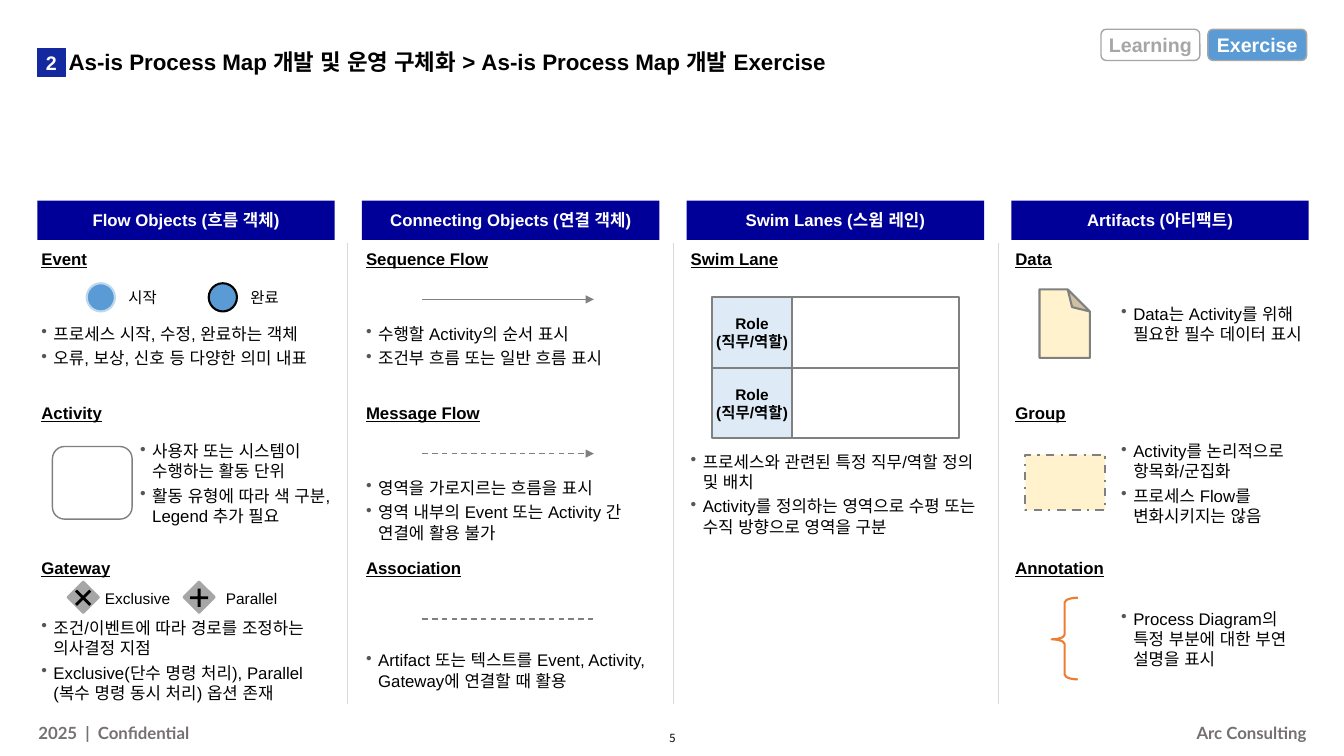
from math import cos, radians, sin

from lxml.etree import SubElement
from pptx import Presentation
from pptx.dml.color import RGBColor
from pptx.enum.dml import MSO_LINE as Dash
from pptx.enum.shapes import MSO_CONNECTOR, MSO_SHAPE as Shape
from pptx.enum.text import MSO_ANCHOR as Anchor, PP_ALIGN as Align
from pptx.oxml.ns import qn
from pptx.util import Inches, Pt

BLACK = RGBColor(0x00, 0x00, 0x00)
WHITE = RGBColor(0xFF, 0xFF, 0xFF)
NAVY = RGBColor(0x00, 0x00, 0x99)
BADGE_BLUE = RGBColor(0x14, 0x28, 0xA0)
BLUE = RGBColor(0x5B, 0x9B, 0xD5)
PALE_BLUE = RGBColor(0xBD, 0xD7, 0xEE)
ROLE_BLUE = RGBColor(0xDE, 0xEB, 0xF7)
CREAM = RGBColor(0xFF, 0xF2, 0xCC)
ORANGE = RGBColor(0xED, 0x7D, 0x31)
GRAY = RGBColor(0x80, 0x80, 0x80)
MID_GRAY = RGBColor(0xA6, 0xA6, 0xA6)
LIGHT_GRAY = RGBColor(0xD9, 0xD9, 0xD9)
FOOTER_GRAY = RGBColor(0x76, 0x71, 0x71)
CENTERED = {"align": Align.CENTER, "anchor": Anchor.MIDDLE}

presentation = Presentation()
presentation.slide_width = Inches(13.33)
presentation.slide_height = Inches(7.5)
slide = presentation.slides.add_slide(presentation.slide_layouts[6])
shapes = slide.shapes


def add_box(kind, place, fill=None, line=None, width=1.0):
    """Add a preset shape, or a text box when kind is None."""
    place = [Inches(value) for value in place]
    if kind is None:
        return shapes.add_textbox(*place)
    shape = shapes.add_shape(kind, *place)
    shape.shadow.inherit = False
    shape.fill.background()
    if fill is not None:
        shape.fill.solid()
        shape.fill.fore_color.rgb = fill
    shape.line.fill.background()
    if line is not None:
        shape.line.color.rgb = line
        shape.line.width = Pt(width)
    return shape


def write(shape, lines, size=12, color=BLACK, bold=False, underline=False, align=Align.LEFT,
          anchor=Anchor.TOP, inset=(0, 0), before=0, spacing=None, bullet=False,
          wrap=True, font="Arial"):
    """Write one paragraph per line; inset is (side, top and bottom)."""
    frame = shape.text_frame
    frame.word_wrap = wrap
    frame.vertical_anchor = anchor
    frame.margin_left = frame.margin_right = Inches(inset[0])
    frame.margin_top = frame.margin_bottom = Inches(inset[1])
    for index, line in enumerate(lines):
        paragraph = frame.add_paragraph() if index else frame.paragraphs[0]
        paragraph.alignment = align
        paragraph.space_before = Pt(before)
        paragraph.line_spacing = spacing
        if bullet:
            properties = paragraph._p.get_or_add_pPr()
            properties.set("marL", str(Inches(0.12)))
            properties.set("indent", str(Inches(-0.12)))
            SubElement(SubElement(properties, qn("a:buClr")), qn("a:srgbClr"), val="53565A")
            SubElement(properties, qn("a:buChar"), char="•")
        run = paragraph.add_run()
        run.text = line
        run.font.size = Pt(size)
        run.font.name = font
        run.font.bold = bold
        run.font.underline = underline
        run.font.color.rgb = color
        SubElement(run._r.get_or_add_rPr(), qn("a:ea"), typeface=font)
    return shape


# Footer
for left, align, label in [(9.91, Align.RIGHT, "Arc Consulting"),
                           (0.38, Align.LEFT, "2025  |  Confidential")]:
    write(add_box(None, (left, 7.14, 3.05, 0.24)), [label], color=FOOTER_GRAY, bold=True,
          align=align, anchor=Anchor.MIDDLE, inset=(0, 0.05), before=10, spacing=1.05,
          wrap=False, font="Lato")
write(add_box(None, (6.55, 7.22, 0.24, 0.2)), ["5"], size=8, font="Noto Sans CJK KR", **CENTERED)

# Title with number badge
title = write(add_box(None, (0.37, 0.46, 11.5, 0.34)),
              ["As-is Process Map 개발 및 운영 구체화 > As-is Process Map 개발 Exercise"],
              size=16, bold=True, inset=(0, 0.05), spacing=0.9)
title.text_frame.paragraphs[0]._p.get_or_add_pPr().set("marL", str(Inches(0.31)))
write(add_box(Shape.RECTANGLE, (0.37, 0.48, 0.28, 0.28), BADGE_BLUE, BADGE_BLUE), ["2"],
      size=14, color=WHITE, bold=True, **CENTERED)

# Learning / Exercise tags
for left, label, fill, color in [(10.92, "Learning", WHITE, MID_GRAY),
                                 (11.98, "Exercise", BLUE, WHITE)]:
    write(add_box(Shape.ROUNDED_RECTANGLE, (left, 0.29, 0.98, 0.31), fill, MID_GRAY), [label],
          size=14, color=color, bold=True, inset=(0.04, 0.05), **CENTERED)

# Column headers and section headings
columns = [
    ("Flow Objects (흐름 객체)", ["Event", "Activity", "Gateway"]),
    ("Connecting Objects (연결 객체)", ["Sequence Flow", "Message Flow", "Association"]),
    ("Swim Lanes (스윔 레인)", ["Swim Lane"]),
    ("Artifacts (아티팩트)", ["Data", "Group", "Annotation"]),
]
LEFT, PITCH, WIDTH = 0.37, 3.22, 2.95
for column, (header, headings) in enumerate(columns):
    left = LEFT + column * PITCH
    write(add_box(Shape.RECTANGLE, (left, 1.99, WIDTH, 0.39), NAVY), [header], color=WHITE,
          bold=True, inset=(0.08, 0.05), **CENTERED)
    for row, heading in enumerate(headings):
        write(add_box(None, (left, 2.47 + row * 1.53, WIDTH, 0.2)), [heading], bold=True,
              underline=True, inset=(0.04, 0), before=3)

# Bulleted descriptions
descriptions = [
    ((0.37, 3.21, 2.95, 0.45),
     ["프로세스 시작, 수정, 완료하는 객체", "오류, 보상, 신호 등 다양한 의미 내표"]),
    ((1.35, 4.37, 1.97, 0.85),
     ["사용자 또는 시스템이 수행하는 활동 단위", "활동 유형에 따라 색 구분, Legend 추가 필요"]),
    ((0.37, 6.13, 2.95, 0.85),
     ["조건/이벤트에 따라 경로를 조정하는 의사결정 지점",
      "Exclusive(단수 명령 처리), Parallel (복수 명령 동시 처리) 옵션 존재"]),
    ((3.59, 3.21, 2.95, 0.45), ["수행할 Activity의 순서 표시", "조건부 흐름 또는 일반 흐름 표시"]),
    ((3.59, 4.74, 2.95, 0.65),
     ["영역을 가로지르는 흐름을 표시", "영역 내부의 Event 또는 Activity 간 연결에 활용 불가"]),
    ((3.59, 6.45, 2.95, 0.4), ["Artifact 또는 텍스트를 Event, Activity, Gateway에 연결할 때 활용"]),
    ((6.81, 4.48, 2.95, 0.85),
     ["프로세스와 관련된 특정 직무/역할 정의 및 배치",
      "Activity를 정의하는 영역으로 수평 또는 수직 방향으로 영역을 구분"]),
    ((11.08, 2.91, 1.89, 0.61), ["Data는 Activity를 위해 필요한 필수 데이터 표시"]),
    ((11.08, 4.37, 1.89, 0.85),
     ["Activity를 논리적으로 항목화/군집화", "프로세스 Flow를 변화시키지는 않음"]),
    ((11.08, 6.03, 1.89, 0.61), ["Process Diagram의 특정 부분에 대한 부연 설명을 표시"]),
]
for place, lines in descriptions:
    write(add_box(None, place), lines, anchor=Anchor.MIDDLE if place[2] < 2 else Anchor.TOP,
          inset=(0.04, 0), before=3, bullet=True)

# Event circles and activity box
for left, label, outline in [(0.86, "시작", PALE_BLUE), (2.07, "완료", BLACK)]:
    add_box(Shape.FLOWCHART_CONNECTOR, (left, 2.81, 0.28, 0.28), BLUE, outline, 1.5)
    write(add_box(None, (left + 0.27, 2.86, 0.57, 0.19)), [label], size=11,
          align=Align.CENTER, before=3)
add_box(Shape.ROUNDED_RECTANGLE, (0.52, 4.43, 0.79, 0.72), WHITE, GRAY)

# Gateway diamonds, each with a cross turned by its angle
THIN = 0.014
for left, label, label_left, angle, arm in [(0.67, "Exclusive", 1.01, 45, 0.1),
                                            (1.82, "Parallel", 2.14, 0, 0.09)]:
    add_box(Shape.FLOWCHART_DECISION, (left, 5.77, 0.31, 0.31), MID_GRAY, MID_GRAY, 1.5)
    write(add_box(None, (label_left, 5.84, 0.71, 0.19)), [label], size=11,
          align=Align.CENTER, before=3)
    corners = []
    for quarter in range(4):
        turn = radians(angle + 90 * quarter)
        for x, y in [(arm, -THIN), (arm, THIN), (THIN, THIN)]:
            corners.append((Inches(left + 0.155 + x * cos(turn) - y * sin(turn)),
                            Inches(5.93 + x * sin(turn) + y * cos(turn))))
    builder = shapes.build_freeform(*corners[0])
    builder.add_line_segments(corners[1:], close=True)
    cross = builder.convert_to_shape()
    cross.shadow.inherit = False
    cross.fill.solid()
    cross.fill.fore_color.rgb = BLACK
    cross.line.fill.background()

# Flow lines and column dividers: ends, colour, width, dash, arrowhead
connections = [((4.19, 2.97, 5.89, 2.97), GRAY, 1, None, True),
               ((4.19, 4.5, 5.89, 4.5), GRAY, 1, Dash.DASH, True),
               ((4.19, 6.14, 5.89, 6.14), GRAY, 1, Dash.DASH, False)]
for x in (3.45, 6.68, 9.9):
    connections.append(((x, 2.41, x, 6.98), LIGHT_GRAY, 0.75, None, False))
for ends, color, width, dash, arrow in connections:
    connector = shapes.add_connector(MSO_CONNECTOR.STRAIGHT, *[Inches(value) for value in ends])
    connector.line.color.rgb = color
    connector.line.width = Pt(width)
    connector.line.dash_style = dash
    if arrow:
        SubElement(connector.line._get_or_add_ln(), qn("a:tailEnd"), type="triangle")
    SubElement(connector._element.spPr, qn("a:effectLst"))

# Swim lanes
for top in (2.95, 3.65):
    add_box(Shape.RECTANGLE, (7.79, top, 1.72, 0.7), WHITE, GRAY, 1.5)
    write(add_box(Shape.RECTANGLE, (7.06, top, 0.8, 0.7), ROLE_BLUE, GRAY, 1.5),
          ["Role", "(직무/역할)"], size=11, bold=True, inset=(0, 0.05), **CENTERED)

# Artifacts: data sheet, group frame, annotation brace
sheet = add_box(Shape.FOLDED_CORNER, (10.22, 2.96, 0.68, 0.5), CREAM, GRAY, 1.5)
sheet.rotation = 270
group_frame = add_box(Shape.RECTANGLE, (10.17, 4.51, 0.79, 0.55), CREAM, GRAY, 1.5)
group_frame.line.dash_style = Dash.DASH_DOT
brace = add_box(Shape.LEFT_BRACE, (10.43, 5.93, 0.26, 0.81), None, ORANGE, 1.5)
for shape, name, value in [(sheet, "adj", 44000), (brace, "adj1", 18000), (brace, "adj2", 51000)]:
    guides = shape._element.spPr.find(qn("a:prstGeom")).find(qn("a:avLst"))
    for guide in guides.findall(qn("a:gd")):
        if guide.get("name") == name:
            guides.remove(guide)
    SubElement(guides, qn("a:gd"), name=name, fmla=f"val {value}")

presentation.save("out.pptx")
